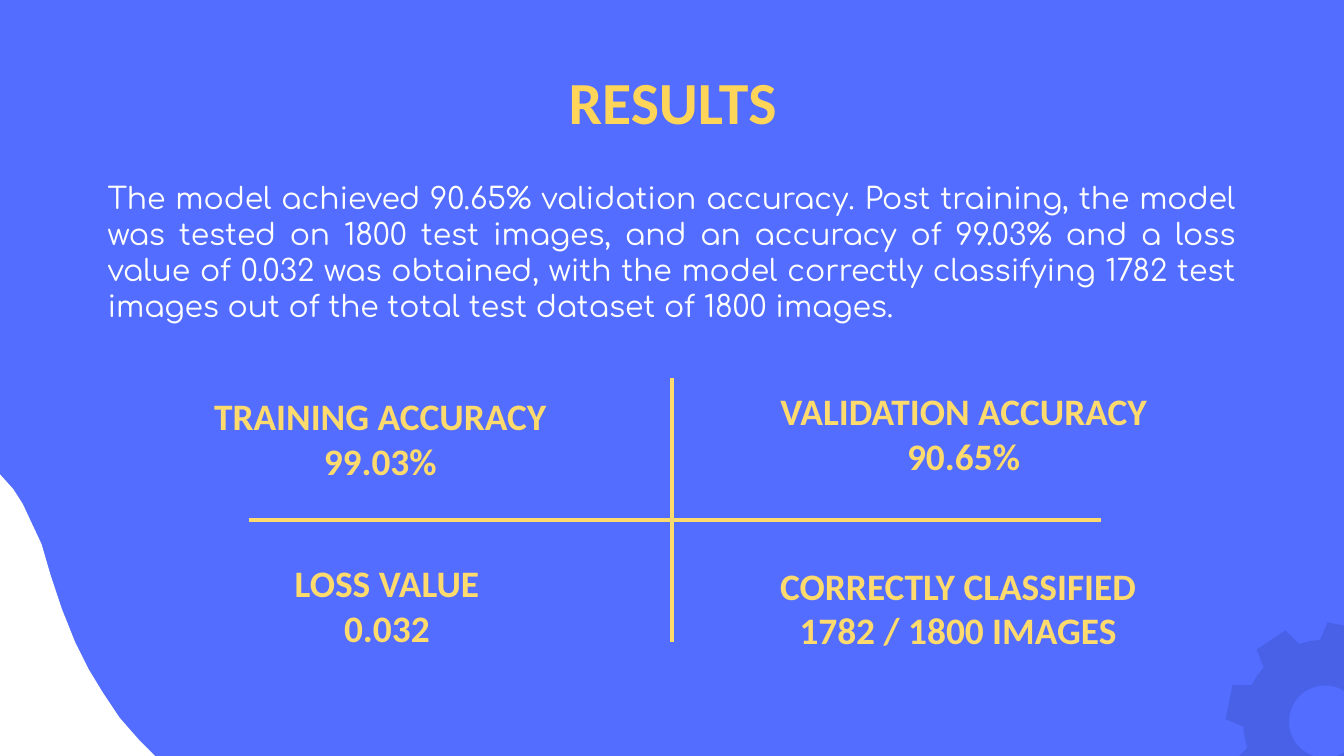
from math import cos, radians, sin

from lxml.etree import SubElement
from pptx import Presentation
from pptx.dml.color import RGBColor
from pptx.enum.shapes import MSO_CONNECTOR as Connector
from pptx.enum.text import MSO_ANCHOR as Anchor, MSO_AUTO_SIZE as AutoSize, PP_ALIGN as Align
from pptx.oxml.ns import qn
from pptx.util import Inches, Pt

SLIDE_WIDTH = 10
SLIDE_HEIGHT = SLIDE_WIDTH * 9 / 16

BLUE = RGBColor(0x52, 0x6D, 0xFF)
GEAR_BLUE = RGBColor(0x48, 0x61, 0xE7)
WHITE = RGBColor(0xFF, 0xFF, 0xFF)
GOLD = RGBColor(0xFF, 0xD5, 0x59)
LIGHT_GOLD = RGBColor(0xFF, 0xDA, 0x6C)

# Content
TITLE = "RESULTS"
SUMMARY = (
    "The model achieved 90.65% validation accuracy. Post training, the model was tested "
    "on 1800 test images, and an accuracy of 99.03% and a loss value of 0.032 was obtained, "
    "with the model correctly classifying 1782 test images out of the total test dataset "
    "of 1800 images."
)
# Label, value, centre of the box and its width, in inches
METRICS = [
    ("TRAINING ACCURACY", "99.03%", (2.83, 3.26), 3.14),
    ("VALIDATION ACCURACY", "90.65%", (7.17, 3.22), 3.85),
    ("LOSS VALUE", "0.032", (2.88, 4.5), 3.14),
    ("CORRECTLY CLASSIFIED", "1782 / 1800 IMAGES", (7.13, 4.52), 3.14),
]
METRIC_HEIGHT = 0.58
DIVIDERS = [((5, 2.81), (5, 4.78)), ((1.85, 3.87), (8.19, 3.87))]

# Outline of the corner wave, clockwise from its left end
WAVE = [
    (-3.25, 5.16), (-3.18, 4.52), (-2.95, 3.92), (-2.52, 3.36), (-2.0, 3.01), (-1.38, 2.91),
    (-0.73, 3.04), (-0.35, 3.24), (-0.1, 3.43), (0.01, 3.54), (0.1, 3.64), (0.17, 3.75),
    (0.24, 3.9), (0.31, 4.05), (0.38, 4.29), (0.46, 4.53), (0.56, 4.78), (0.66, 4.98),
    (0.77, 5.16), (0.89, 5.34), (1.03, 5.5), (1.18, 5.65), (1.35, 5.78), (1.58, 5.9),
    (1.91, 5.99), (2.53, 6.05), (3.02, 6.23), (3.36, 6.54), (3.58, 6.94), (3.68, 7.4),
    (3.61, 7.91), (3.35, 8.43), (2.91, 8.89), (2.29, 9.21), (1.38, 9.36), (0.53, 9.28),
    (-0.43, 9.05), (-1.26, 8.68), (-2.03, 8.1), (-2.62, 7.33), (-3.03, 6.42), (-3.2, 5.73),
]

GEAR_CENTRE = (9.86, 5.37)
TEETH, FIRST_TOOTH = 8, 11.5
# Degrees from the middle of a tooth, and radius in inches
TOOTH = [(-15, 0.61), (-10, 0.74), (10, 0.74), (15, 0.61), (22.5, 0.61)]
HOLE_RADIUS, HOLE_STEP = 0.27, 10


def around_gear(angle, radius):
    return (GEAR_CENTRE[0] + radius * cos(radians(angle)),
            GEAR_CENTRE[1] + radius * sin(radians(angle)))


def add_outline(slide, contours, color):
    contours = [[(Inches(x), Inches(y)) for x, y in points] for points in contours]
    builder = slide.shapes.build_freeform(*contours[0][0])
    for number, points in enumerate(contours):
        if number:
            builder.move_to(*points[0])
        builder.add_line_segments(points[1:], close=True)
    shape = builder.convert_to_shape()
    shape.shadow.inherit = False
    shape.fill.solid()
    shape.fill.fore_color.rgb = color
    shape.line.fill.background()


def write(shape, lines, font_name, size, color, bold, align, anchor):
    frame = shape.text_frame
    frame.word_wrap = True
    frame.auto_size = AutoSize.NONE
    frame.vertical_anchor = anchor
    frame.margin_left = frame.margin_right = Inches(0.1)
    frame.margin_top = frame.margin_bottom = Inches(0.1)
    paragraph = frame.paragraphs[0]
    paragraph.alignment = align
    paragraph.line_spacing = 1
    paragraph.space_before = Pt(0)
    for number, line in enumerate(lines):
        if number:
            paragraph.add_line_break()
        run = paragraph.add_run()
        run.text = line
        run.font.name = font_name
        run.font.size = Pt(size)
        run.font.bold = bold
        run.font.color.rgb = color
    return paragraph


def place(shape, left, top, width, height):
    shape.left, shape.top = Inches(left), Inches(top)
    shape.width, shape.height = Inches(width), Inches(height)


presentation = Presentation()
presentation.slide_width = Inches(SLIDE_WIDTH)
presentation.slide_height = Inches(SLIDE_HEIGHT)
slide = presentation.slides.add_slide(presentation.slide_layouts[0])
slide.background.fill.solid()
slide.background.fill.fore_color.rgb = BLUE

# Corner decoration
add_outline(slide, [WAVE], WHITE)
rim = [around_gear(FIRST_TOOTH + tooth * 360 / TEETH + offset, radius)
       for tooth in range(TEETH) for offset, radius in TOOTH]
hole = [around_gear(-angle, HOLE_RADIUS) for angle in range(0, 360, HOLE_STEP)]
add_outline(slide, [rim, hole], GEAR_BLUE)

# Title and summary
title, summary = slide.placeholders
place(title, 0.79, 0.38, 8.43, 0.63)
write(title, [TITLE], "Calibri", 32, GOLD, True, Align.CENTER, Anchor.TOP)
place(summary, 0.7, 1.24, 8.6, 1.22)
paragraph = write(summary, [SUMMARY], "Comfortaa", 16, WHITE, False, Align.JUSTIFY, Anchor.TOP)
paragraph.space_after = Pt(16)

# Four metrics
for label, value, (x, y), width in METRICS:
    box = slide.shapes.add_textbox(Inches(x - width / 2), Inches(y - METRIC_HEIGHT / 2),
                                   Inches(width), Inches(METRIC_HEIGHT))
    write(box, [label, value], "Calibri", 20, LIGHT_GOLD, True, Align.CENTER, Anchor.MIDDLE)

# Dividing cross
for start, end in DIVIDERS:
    divider = slide.shapes.add_connector(Connector.STRAIGHT, *map(Inches, start + end))
    divider.line.color.rgb = LIGHT_GOLD
    divider.line.width = Pt(2.25)
    SubElement(divider.element.spPr, qn("a:effectLst"))

presentation.save("out.pptx")
